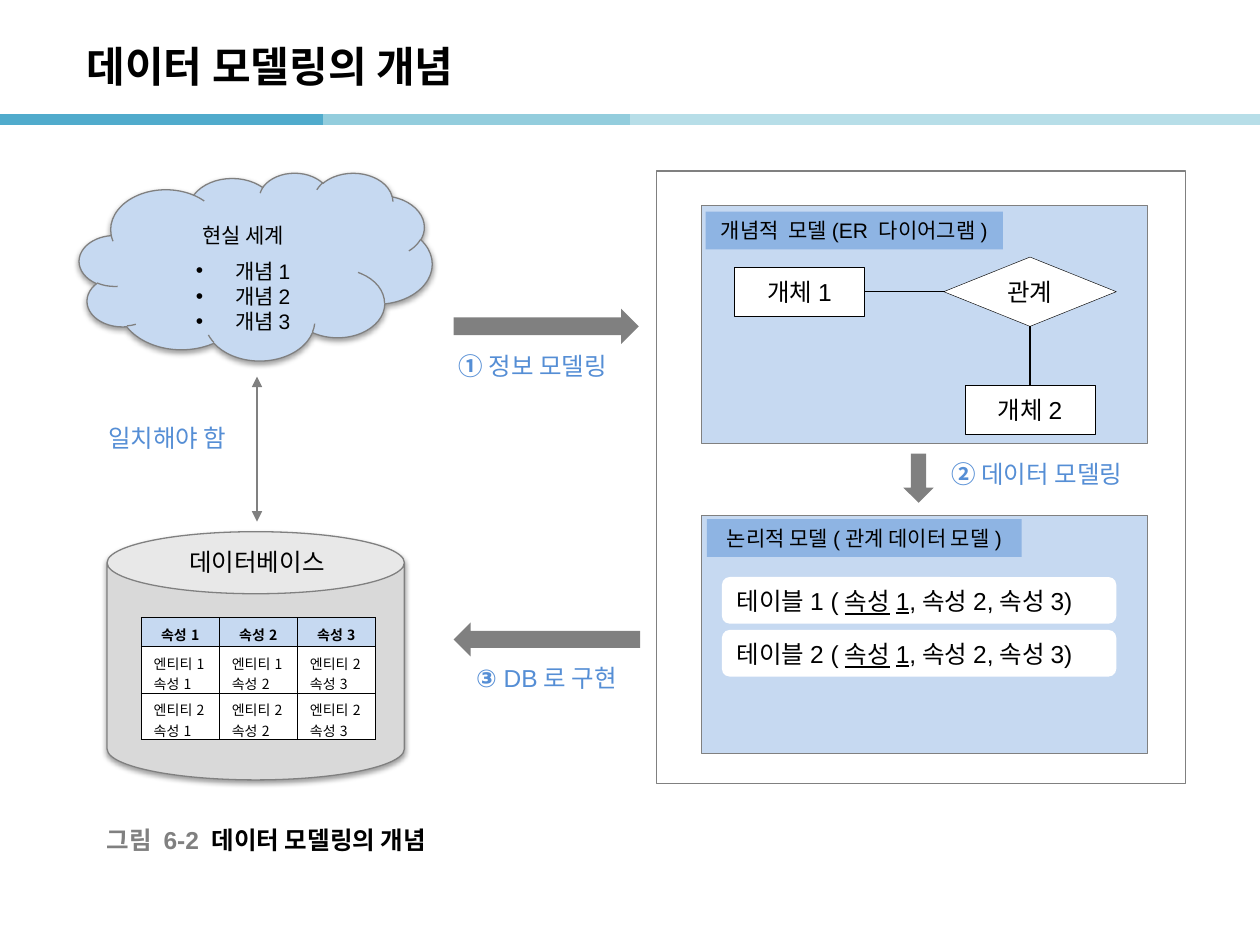
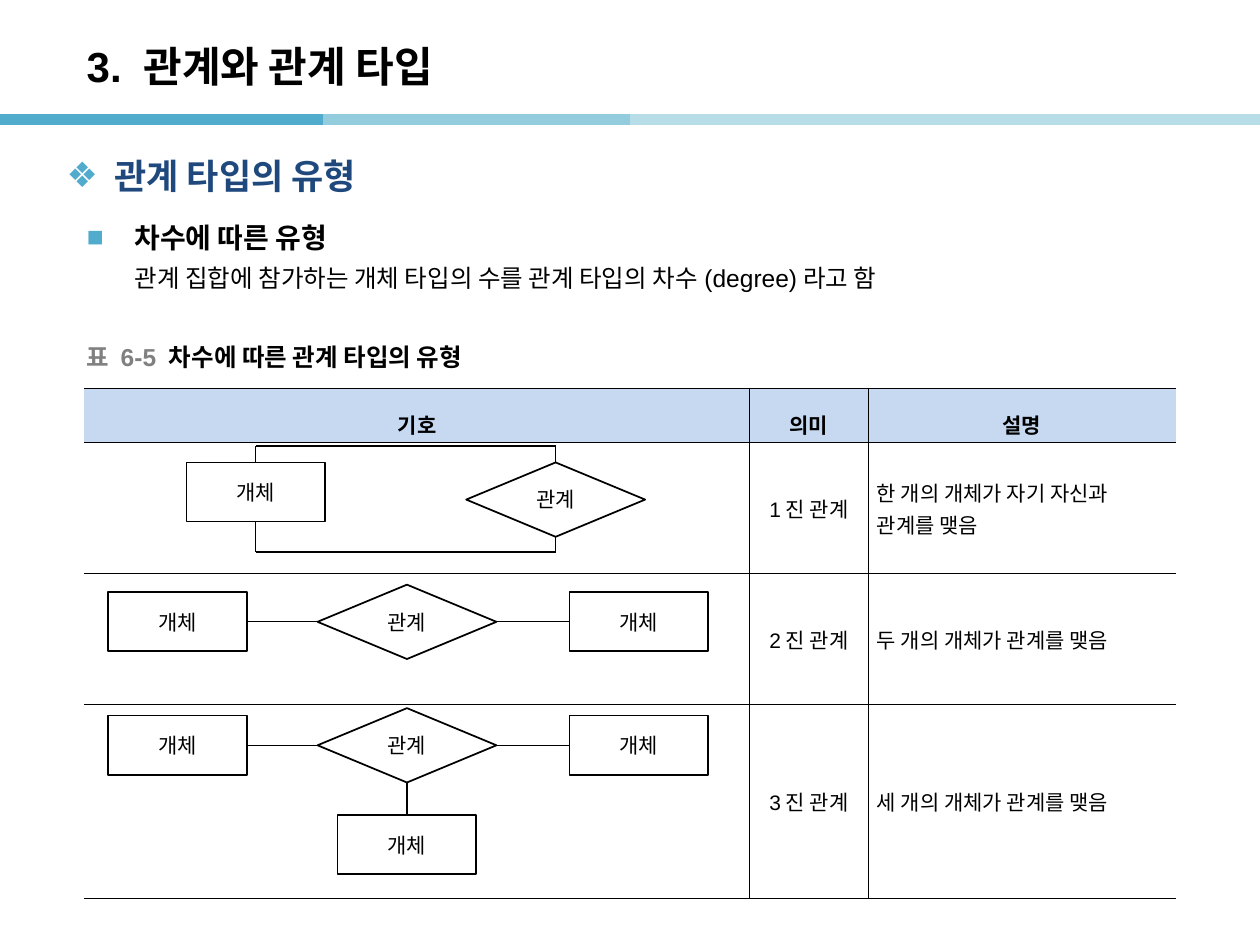
from lxml.etree import SubElement
from pptx import Presentation
from pptx.dml.color import RGBColor
from pptx.enum.shapes import MSO_CONNECTOR, MSO_SHAPE
from pptx.enum.text import MSO_ANCHOR, PP_ALIGN
from pptx.oxml.ns import qn
from pptx.util import Inches, Pt

BLACK = RGBColor(0x00, 0x00, 0x00)
WHITE = RGBColor(0xFF, 0xFF, 0xFF)
GRAY = RGBColor(0x80, 0x80, 0x80)
SILVER = RGBColor(0xD9, 0xD9, 0xD9)
PALE = RGBColor(0xC6, 0xD9, 0xF1)
SKY = RGBColor(0x8E, 0xB4, 0xE3)
BLUE = RGBColor(0x55, 0x8E, 0xD5)
NAVY = RGBColor(0x1F, 0x49, 0x7D)
TEAL = RGBColor(0x50, 0xAB, 0xCC)
AQUA = RGBColor(0x93, 0xCD, 0xDD)
MIST = RGBColor(0xB7, 0xDE, 0xE8)
LATIN, KOREAN = "Arial", "Noto Sans CJK KR"
LEFT, CENTER = PP_ALIGN.LEFT, PP_ALIGN.CENTER
RECT, DIAMOND = MSO_SHAPE.RECTANGLE, MSO_SHAPE.FLOWCHART_DECISION


class Deck:
    """Holds the shared style and draws elements on the current slide."""

    def __init__(self):
        self.prs = Presentation()
        self.prs.slide_width, self.prs.slide_height = Inches(10), Inches(7.5)

    def page(self, title, face=LATIN):
        self.slide = self.prs.slides.add_slide(self.prs.slide_layouts[6])
        self.shapes = self.slide.shapes
        for start, end, color in ((0, 2.56, TEAL), (2.56, 5, AQUA), (5, 10, MIST)):
            self.line((start, 0.95), (end, 0.95), color, 6)
        self.text((0.59, 0.22, 8.27, 0.6), [title], 24, bold=True, face=face)

    def say(self, para, item, size, color=BLACK, bold=False, align=LEFT, face=LATIN):
        runs = [(item, {})] if isinstance(item, str) else item
        para.alignment = align
        font = para.font
        font.size, font.name = Pt(size), face
        shared = {"color": color, "bold": bold}
        for key in shared:
            if not any(key in style for _, style in runs):
                self.style(font, {key: shared[key]})
        SubElement(para._p.pPr.find(qn("a:defRPr")), qn("a:ea"), typeface=KOREAN)
        for words, style in runs:
            run = para.add_run()
            run.text = words
            self.style(run.font, style)

    def style(self, font, style):
        if "color" in style:
            font.color.rgb = style["color"]
        if "bold" in style:
            font.bold = style["bold"]
        if "line" in style:
            font.underline = style["line"]

    def paras(self, frame, count):
        return [frame.paragraphs[0]] + [frame.add_paragraph() for _ in range(count - 1)]

    def put(self, frame, items, size, align=LEFT, **style):
        frame.word_wrap = True
        frame.vertical_anchor = MSO_ANCHOR.MIDDLE
        frame.margin_left = frame.margin_right = Inches(0 if align == CENTER else 0.1)
        frame.margin_top = frame.margin_bottom = 0
        for para, item in zip(self.paras(frame, len(items)), items):
            self.say(para, item, size, align=align, **style)

    def text(self, box, items, size, **style):
        frame = self.shapes.add_textbox(*map(Inches, box)).text_frame
        self.put(frame, items, size, **style)

    def shape(self, kind, box, fill, line=None, width=0.75, glow=False):
        shape = self.shapes.add_shape(kind, *map(Inches, box))
        shape.shadow.inherit = False
        shape.fill.solid()
        shape.fill.fore_color.rgb = fill
        if line is None:
            shape.line.fill.background()
        else:
            shape.line.color.rgb = line
            shape.line.width = Pt(width)
        if glow:
            self.shade(shape)
        return shape

    def shade(self, shape):
        effects = shape._element.spPr.find(qn("a:effectLst"))
        cast = SubElement(effects, qn("a:outerShdw"), blurRad=str(Pt(3.1)),
                          dist=str(Pt(1.6)), dir="5400000", rotWithShape="0")
        tint = SubElement(cast, qn("a:srgbClr"), val="000000")
        SubElement(tint, qn("a:alpha"), val="38000")

    def label(self, kind, box, item, size, fill=WHITE, line=None, width=0.75,
              align=CENTER, **style):
        shape = self.shape(kind, box, fill, line, width)
        self.put(shape.text_frame, [item], size, align=align, **style)
        return shape

    def line(self, start, end, color=BLACK, width=0.75, heads=False):
        line = self.shapes.add_connector(MSO_CONNECTOR.STRAIGHT,
                                         *map(Inches, (*start, *end)))
        line.line.color.rgb = color
        line.line.width = Pt(width)
        props = line._element.spPr
        if heads:
            for tag in ("a:headEnd", "a:tailEnd"):
                SubElement(props.find(qn("a:ln")), qn(tag), type="triangle")
        SubElement(props, qn("a:effectLst"))
        return line

    def join(self, first, side, last, other):
        line = self.line((0, 0), (0, 0))
        line.begin_connect(first, side)
        line.end_connect(last, other)

    def stub(self, shape, side, end):
        self.line(end, end).begin_connect(shape, side)

    def bullet(self, para, char, left, hang, color=None):
        props = para._p.get_or_add_pPr()
        props.set("marL", str(Inches(left)))
        props.set("indent", str(Inches(-hang)))
        if color is not None:
            SubElement(SubElement(props, qn("a:buClr")), qn("a:srgbClr"), val=str(color))
        if char:
            SubElement(props, qn("a:buFont"), typeface=LATIN)
            SubElement(props, qn("a:buChar"), char=char)

    def points(self, box, rows, anchor=MSO_ANCHOR.TOP, space=None):
        frame = self.shapes.add_textbox(*map(Inches, box)).text_frame
        frame.word_wrap = True
        frame.vertical_anchor = anchor
        for para, (char, item, style, hang) in zip(self.paras(frame, len(rows)), rows):
            self.bullet(para, char, 0.38, hang, TEAL if char else None)
            para.line_spacing = space
            self.say(para, item, **style)

    def table(self, spot, cols, rows):
        size = (sum(cols), sum(rows))
        table = self.shapes.add_table(len(rows), len(cols),
                                      *map(Inches, spot + size)).table
        table.first_row = table.horz_banding = False
        for col, width in zip(table.columns, cols):
            col.width = Inches(width)
        for row, height in zip(table.rows, rows):
            row.height = Inches(height)
        return table

    def cell(self, cell, fill, sides, width, pads):
        props = cell._tc.get_or_add_tcPr()
        for side in "LRTB":
            edge = SubElement(props, qn("a:ln" + side), w=str(Pt(width)))
            if side in sides:
                paint = SubElement(edge, qn("a:solidFill"))
                SubElement(paint, qn("a:srgbClr"), val=str(BLACK))
            else:
                SubElement(edge, qn("a:noFill"))
        cell.fill.solid()
        cell.fill.fore_color.rgb = fill
        (cell.margin_left, cell.margin_right,
         cell.margin_top, cell.margin_bottom) = map(Inches, pads)

    def step(self, box, mark, words):
        self.text(box, [[(mark + " ", {"bold": True}), (words, {"bold": False})]],
                  14, color=BLUE)

    def title(self, box, mark, words):
        self.text(box, [[(mark + " ", {"color": GRAY}), (words, {"color": BLACK})]],
                  14, bold=True)


def concept(deck):
    deck.page("데이터 모델링의 개념", KOREAN)
    deck.shape(RECT, (5.21, 1.36, 4.2, 4.86), WHITE, GRAY, 1)
    for top in (1.63, 4.09):
        deck.shape(RECT, (5.57, top, 3.54, 1.89), PALE, GRAY)
    deck.shape(MSO_SHAPE.CAN, (0.85, 4.22, 2.36, 1.97), SILVER, GRAY, glow=True)
    deck.shape(MSO_SHAPE.RIGHT_ARROW, (3.6, 2.45, 1.47, 0.28), GRAY)
    deck.shape(MSO_SHAPE.LEFT_ARROW, (3.6, 4.94, 1.48, 0.27), GRAY)
    deck.shape(MSO_SHAPE.DOWN_ARROW, (7.17, 3.6, 0.24, 0.39), GRAY)
    deck.step((3.54, 2.73, 1.51, 0.34), "①", "정보 모델링")
    deck.step((7.45, 3.59, 1.7, 0.34), "②", "데이터 모델링")
    deck.step((3.68, 5.21, 1.75, 0.34), "③", "DB로 구현")

    one, link, two = [
        deck.label(kind, box, words, 14, line=BLACK, width=0.25)
        for kind, box, words in (
            (RECT, (5.83, 2.12, 1.03, 0.39), "개체1"),
            (DIAMOND, (7.49, 2.04, 1.37, 0.55), "관계"),
            (RECT, (7.66, 3.06, 1.03, 0.39), "개체2"))]
    deck.join(one, 3, link, 1)
    deck.join(link, 2, two, 0)
    deck.label(RECT, (5.6, 1.68, 2.36, 0.3), "개념적  모델(ER 다이어그램)", 12, SKY)
    deck.label(RECT, (5.61, 4.12, 2.5, 0.3), "논리적 모델(관계 데이터 모델)", 12, SKY)
    for num, top in ((1, 4.58), (2, 5)):
        deck.label(MSO_SHAPE.ROUNDED_RECTANGLE, (5.73, top, 3.13, 0.37),
                   [(f"테이블{num} (", {}), ("속성1", {"line": True}),
                    (",속성2,속성3)", {})], 14, align=LEFT)

    deck.label(RECT, (0.76, 3.3, 1.25, 0.34), "일치해야 함", 14, align=LEFT, color=BLUE)
    deck.text((1.35, 4.29, 1.38, 0.34), ["데이터베이스"], 14, align=CENTER)
    data = [[["속성1"], ["속성2"], ["속성3"]],
            [["엔티티1", "속성1"], ["엔티티1", "속성2"], ["엔티티2", "속성3"]],
            [["엔티티2", "속성1"], ["엔티티2", "속성2"], ["엔티티2", "속성3"]]]
    table = deck.table((1.12, 4.9), [0.62] * 3, [0.23, 0.37, 0.37])
    for r, row in enumerate(data):
        for c, items in enumerate(row):
            cell = table.cell(r, c)
            head = r == 0
            deck.cell(cell, WHITE if r else PALE, "LRTB", 0.25, (0.1, 0.1, 0.05, 0))
            for para, item in zip(deck.paras(cell.text_frame, len(items)), items):
                deck.say(para, item, 8, bold=head, face=KOREAN,
                         align=CENTER if head else LEFT)

    cloud = deck.shape(MSO_SHAPE.CLOUD, (0.63, 1.37, 2.8, 1.49), PALE, GRAY, glow=True)
    frame = cloud.text_frame
    frame.margin_top, frame.margin_bottom = Inches(0.17), 0
    frame.vertical_anchor = MSO_ANCHOR.TOP
    words = ["현실 세계", "개념1", "개념2", "개념3"]
    for n, (para, word) in enumerate(zip(deck.paras(frame, len(words)), words)):
        if n:
            deck.bullet(para, "•", 0.31, 0.31)
        para.line_spacing = Pt(14.4)
        if n == 1:
            para.space_before = Pt(6)
        deck.say(para, word, 12, align=CENTER)
    deck.line((2.04, 2.99), (2.04, 4.14), GRAY, 1.5, heads=True)
    deck.title((0.75, 6.51, 3, 0.31), "그림 6-2", "데이터 모델링의 개념")


def degree(deck):
    deck.page("3. 관계와 관계 타입")
    deck.points((0.59, 1.62, 8.82, 1), [
        ("■", "차수에 따른 유형", {"size": 16, "bold": True}, 0.38),
        ("", "관계 집합에 참가하는 개체 타입의 수를 관계 타입의 차수(degree)라고 함",
         {"size": 14}, 0)], space=1.3)
    deck.points((0.43, 1.1, 8.82, 0.58), [
        ("❖", "관계 타입의 유형", {"size": 20, "bold": True, "color": NAVY}, 0.38)],
        MSO_ANCHOR.MIDDLE)

    data = [[["기호"], ["의미"], ["설명"]],
            [[], ["1진 관계"], ["한 개의 개체가 자기 자신과", "관계를 맺음"]],
            [[], ["2진 관계"], ["두 개의 개체가 관계를 맺음"]],
            [[], ["3진 관계"], ["세 개의 개체가 관계를 맺음"]]]
    table = deck.table((0.67, 3.08), [5.28, 0.94, 2.44], [0.43, 1.04, 1.04, 1.54])
    for r, row in enumerate(data):
        for c, items in enumerate(row):
            cell = table.cell(r, c)
            deck.cell(cell, WHITE if r else PALE, ("RTB", "LRTB", "LTB")[c], 0.28,
                      (0.07, 0.07, 0.02, 0.02))
            cell.vertical_anchor = MSO_ANCHOR.MIDDLE
            for para, item in zip(deck.paras(cell.text_frame, len(items)), items):
                para.line_spacing = Pt(18) if r else 1.6
                deck.say(para, item, 12, bold=r == 0,
                         align=LEFT if r and c == 2 else CENTER)
    deck.title((0.59, 2.68, 3.3, 0.31), "표 6-5", "차수에 따른 관계 타입의 유형")

    def thing(left, top):
        return deck.label(RECT, (left, top, 1.1, 0.47), "개체", 12, line=BLACK, width=1)

    def bond(left, top):
        return deck.label(DIAMOND, (left, top, 1.42, 0.59), "관계", 12,
                          line=BLACK, width=1)

    loop = ((thing(1.48, 3.67), 2.03), (bond(3.7, 3.67), 4.41))
    for level, side in ((3.54, 0), (4.38, 2)):
        deck.line((2.03, level), (4.41, level))
        for shape, mid in loop:
            deck.stub(shape, side, (mid, level))
    for top in (4.7, 5.68):
        left, link, right = thing(0.86, top), bond(2.52, top - 0.06), thing(4.52, top)
        deck.join(left, 3, link, 1)
        deck.join(link, 3, right, 1)
    deck.join(link, 2, thing(2.68, 6.47), 0)


def main():
    deck = Deck()
    concept(deck)
    degree(deck)
    deck.prs.save("out.pptx")


if __name__ == "__main__":
    main()
